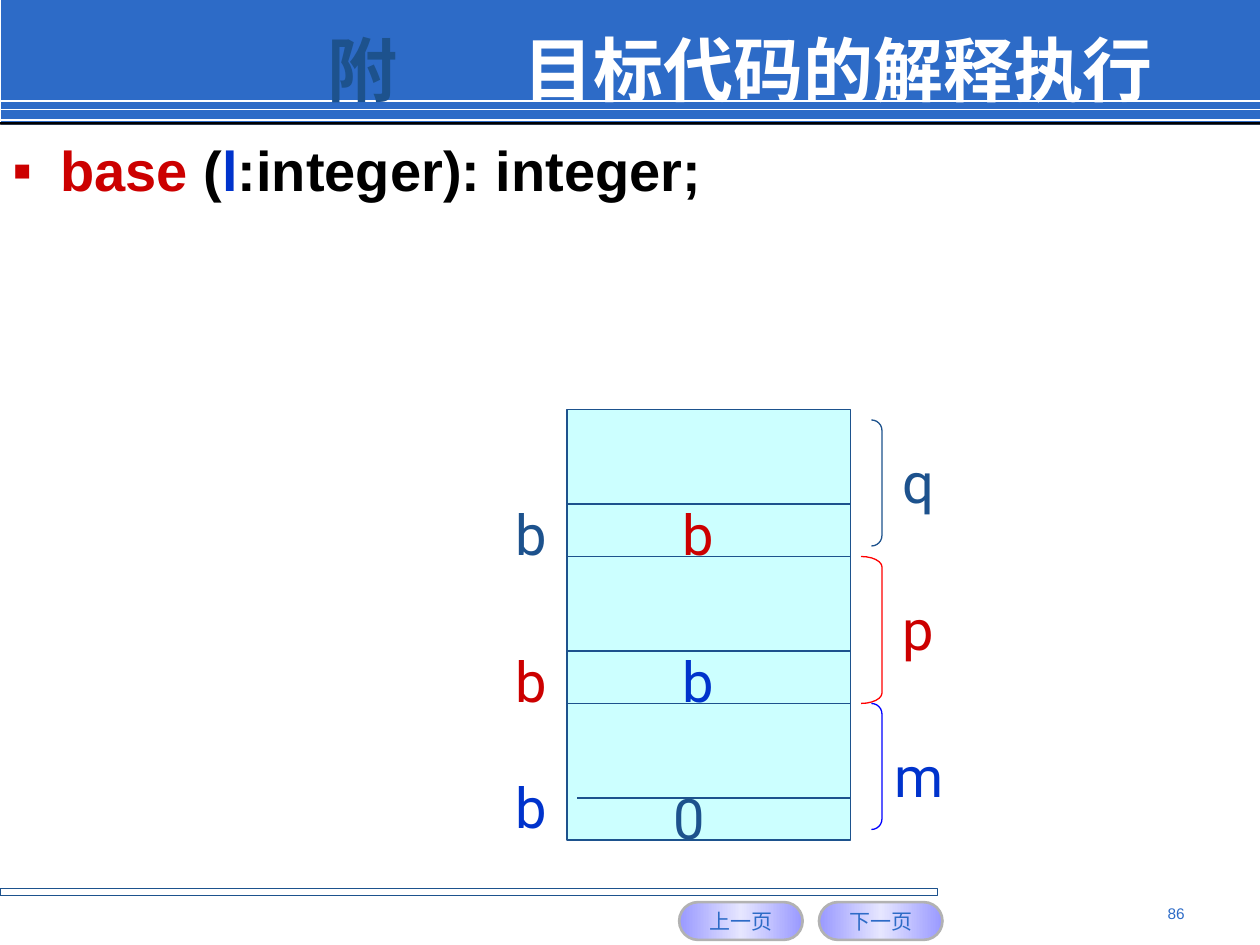
from dataclasses import dataclass

from lxml.etree import SubElement
from pptx import Presentation
from pptx.dml.color import RGBColor
from pptx.enum.shapes import MSO_CONNECTOR, MSO_SHAPE
from pptx.enum.text import MSO_ANCHOR, PP_ALIGN
from pptx.oxml import parse_xml
from pptx.oxml.ns import nsdecls, qn
from pptx.util import Inches, Pt

COLORS = {
    "band": "2D6BC7", "navy": "1D528D", "red": "CC0000", "blue": "0033CC",
    "cell": "CCFFFF", "white": "FFFFFF", "black": "000000", "gray": "B2B2B2",
    "bracket_red": "FF0000", "bracket_blue": "0000FF",
    "button_edge": "9999FF", "button_mid": "E6E6FF",
}
CJK = "Noto Sans CJK SC"
GRID = 1 / 12  # inches per column and per row
STACK_LEFT, STACK_RIGHT, STACK_TOP, STACK_BOTTOM = 54, 81, 39, 80
BRACKET_RIGHT = 84


@dataclass
class Label:
    text: str
    col: float
    row: float
    color: str
    cols: float = 5.64


@dataclass
class Divider:
    row: float
    left: float = STACK_LEFT


@dataclass
class Bracket:
    left: float
    top: float
    bottom: float
    color: str
    curve: float


LABELS = [
    Label("b", 47.9, 73, "blue"),
    Label("b", 47.9, 61, "red"),
    Label("b", 47.9, 47, "navy"),
    Label("0", 63, 74, "navy"),
    Label("b", 63.8, 61, "blue"),
    Label("b", 63.8, 47, "red"),
    Label("m", 84, 70, "blue", 9.7),
    Label("p", 84.8, 56, "red"),
    Label("q", 84.8, 42, "navy"),
]
DIVIDERS = [Divider(48), Divider(53), Divider(62), Divider(67), Divider(76, 55)]
BRACKETS = [
    Bracket(83, 40, 52, "navy", 1),
    Bracket(82, 53, 67, "bracket_red", 0.5),
    Bracket(83, 67, 79, "bracket_blue", 1),
]


def rgb(name: str) -> RGBColor:
    return RGBColor.from_string(COLORS[name])


def format_run(r, size: float, font: str, color: str, bold: bool = False) -> None:
    r.font.size, r.font.name, r.font.bold = Pt(size), font, bold
    r.font.color.rgb = rgb(color)
    SubElement(r.font._element, qn("a:ea")).set("typeface", CJK)


def add_runs(p, parts: list, size: float, font: str, bold: bool = False) -> None:
    for text, color in parts:
        r = p.add_run()
        r.text = text
        format_run(r, size, font, color, bold)


def add_box(s, kind, left: float, top: float, width: float, height: float,
            fill: str = "", line: str = "", weight: float = 0.75):
    sp = s.shapes.add_shape(kind, Inches(left), Inches(top), Inches(width), Inches(height))
    sp.shadow.inherit = False
    if fill:
        sp.fill.solid()
        sp.fill.fore_color.rgb = rgb(fill)
    else:
        sp.fill.background()
    if line:
        sp.line.color.rgb = rgb(line)
        sp.line.width = Pt(weight)
    else:
        sp.line.fill.background()
    return sp


def add_line(s, x1: float, x2: float, y: float, color: str, weight: float) -> None:
    line = s.shapes.add_connector(
        MSO_CONNECTOR.STRAIGHT, Inches(x1), Inches(y), Inches(x2), Inches(y))
    line.line.color.rgb = rgb(color)
    line.line.width = Pt(weight)
    SubElement(line.element.spPr, qn("a:effectLst"))


def add_text(s, left: float, top: float, width: float, height: float,
             parts: list, size: float, font: str, bold: bool = False):
    tf = s.shapes.add_textbox(
        Inches(left), Inches(top), Inches(width), Inches(height)).text_frame
    tf.word_wrap = True
    add_runs(tf.paragraphs[0], parts, size, font, bold)
    return tf.paragraphs[0]


def add_button(s, left: float, text: str) -> None:
    sp = add_box(s, MSO_SHAPE.ROUNDED_RECTANGLE, left, 7.16, 0.98, 0.3, "", "gray", 1.5)
    sp.adjustments[0] = 0.5
    stops = "".join(
        f'<a:gs pos="{pos}"><a:srgbClr val="{COLORS[name]}"/></a:gs>'
        for pos, name in ((0, "button_edge"), (50000, "button_mid"), (100000, "button_edge")))
    gradient = parse_xml(f'<a:gradFill {nsdecls("a")}><a:gsLst>{stops}</a:gsLst>'
                         '<a:lin ang="0" scaled="0"/></a:gradFill>')
    sp_pr = sp.element.spPr
    sp_pr.replace(sp_pr.find(qn("a:noFill")), gradient)
    tf = sp.text_frame
    tf.word_wrap = False
    tf.vertical_anchor = MSO_ANCHOR.MIDDLE
    tf.paragraphs[0].alignment = PP_ALIGN.CENTER
    add_runs(tf.paragraphs[0], [(text, "band")], 12, "Arial")


def draw_frame(s) -> None:
    """Header band, footer rule, navigation buttons and page number."""
    add_box(s, MSO_SHAPE.RECTANGLE, 0.01, 0, 9.99, 0.99, "band")
    for y in (0.8, 0.87, 0.95):
        add_line(s, 0, 10, y, "white", 1)
    add_box(s, MSO_SHAPE.RECTANGLE, 0, 0.97, 10, 0.02, "black")
    add_box(s, MSO_SHAPE.RECTANGLE, 0, 7.05, 7.44, 0.06, "", "navy")
    for left, text in ((5.39, "上一页"), (6.5, "下一页")):
        add_button(s, left, text)
    p = add_text(s, 7.17, 7.13, 2.33, 0.27, [("86", "band")], 8.8, "Arial")
    p.alignment = PP_ALIGN.RIGHT


def draw_title(s) -> None:
    title = s.shapes.title
    title.left, title.top = Inches(0.75), Inches(0.17)
    title.width, title.height = Inches(8.5), Inches(0.75)
    tf = title.text_frame
    tf.word_wrap = True
    tf.vertical_anchor = MSO_ANCHOR.MIDDLE
    p = tf.paragraphs[0]
    p.alignment = PP_ALIGN.RIGHT
    add_runs(p, [("附", "navy"), (" ", "navy"), ("目标代码的解释执行", "white")], 40, CJK, True)
    p.runs[1].font._element.set("spc", "6300")  # wide gap after the first character
    title.element.getparent().append(title.element)  # bring in front of the band


def draw_signature(s) -> None:
    parts = [("base ", "red"), ("(", "black"), ("l", "blue"), (":integer): integer;", "black")]
    p = add_text(s, 0, 1.03, 10, 5.98, parts, 32, "Arial", True)
    p_pr = p._p.get_or_add_pPr()
    p_pr.set("marL", str(Inches(0.38)))
    p_pr.set("indent", str(Inches(-0.38)))
    SubElement(SubElement(p_pr, qn("a:buClr")), qn("a:srgbClr")).set("val", COLORS["red"])
    SubElement(p_pr, qn("a:buFont")).set("typeface", "Arial")
    SubElement(p_pr, qn("a:buChar")).set("char", "▪")


def draw_stack(s) -> None:
    add_box(s, MSO_SHAPE.RECTANGLE, STACK_LEFT * GRID, STACK_TOP * GRID,
            (STACK_RIGHT - STACK_LEFT) * GRID, (STACK_BOTTOM - STACK_TOP) * GRID, "cell", "navy")
    for d in DIVIDERS:
        add_line(s, d.left * GRID, STACK_RIGHT * GRID, d.row * GRID, "navy", 0.75)
    for b in BRACKETS:
        sp = add_box(s, MSO_SHAPE.RIGHT_BRACKET, b.left * GRID, b.top * GRID,
                     (BRACKET_RIGHT - b.left) * GRID, (b.bottom - b.top) * GRID, "", b.color)
        sp.adjustments[0] = b.curve
    for lb in LABELS:
        add_text(s, lb.col * GRID, lb.row * GRID, lb.cols * GRID, 0.64,
                 [(lb.text, lb.color)], 32, "Roboto")


def main() -> None:
    prs = Presentation()
    prs.slide_width, prs.slide_height = Inches(10), Inches(7.5)
    s = prs.slides.add_slide(prs.slide_layouts[5])
    draw_frame(s)
    draw_title(s)
    draw_signature(s)
    draw_stack(s)
    prs.save("out.pptx")


if __name__ == "__main__":
    main()
